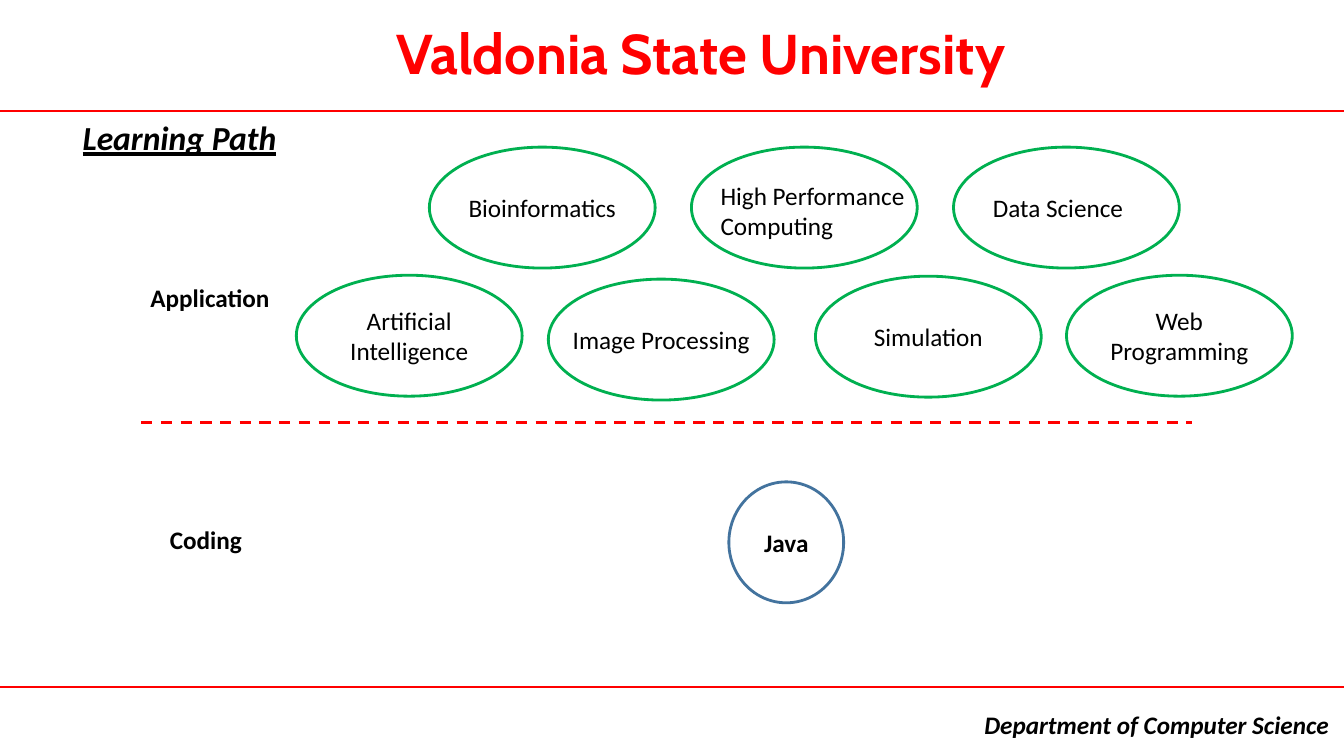
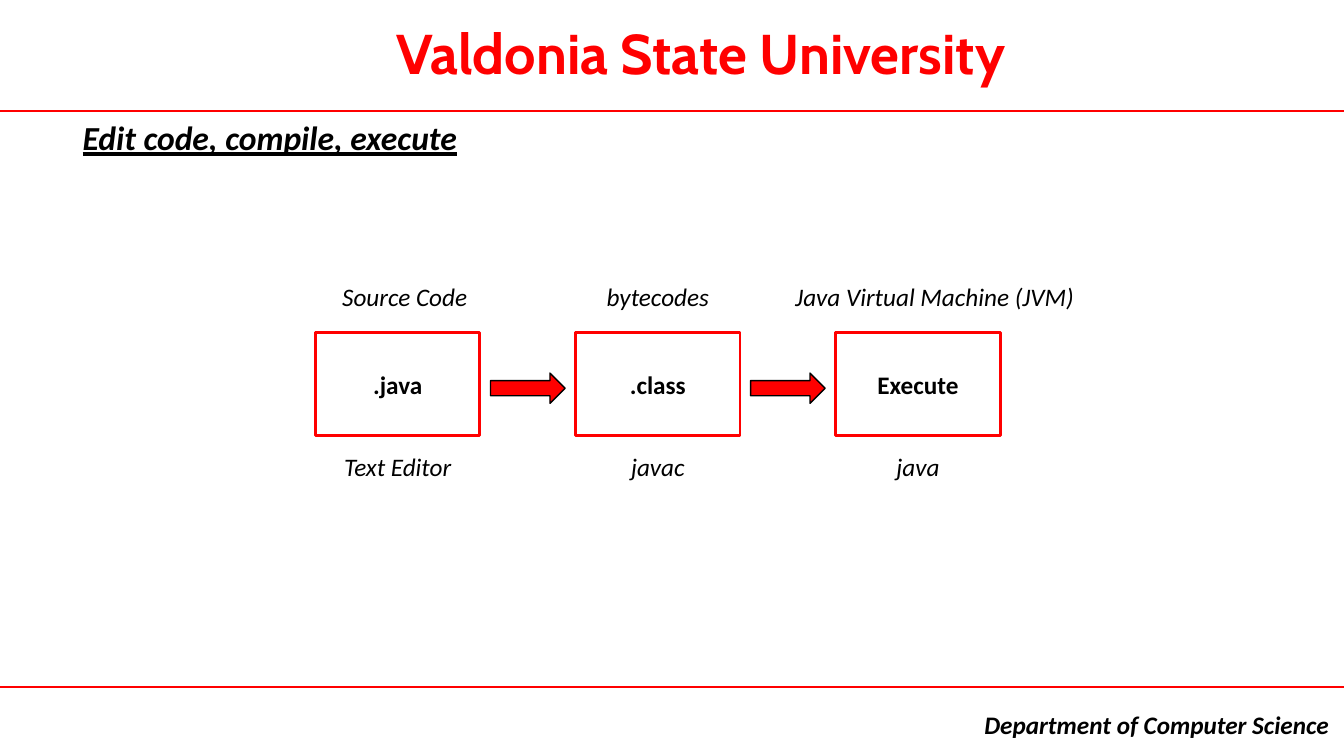
from collections import namedtuple

from lxml.etree import SubElement
from pptx import Presentation
from pptx.dml.color import RGBColor
from pptx.enum.dml import MSO_LINE
from pptx.enum.shapes import MSO_CONNECTOR, MSO_SHAPE
from pptx.enum.text import MSO_ANCHOR, MSO_AUTO_SIZE, PP_ALIGN
from pptx.oxml.ns import qn
from pptx.util import Pt

Box = namedtuple("Box", "left top width height")

COLOURS = {
    "red": "FF0000",
    "green": "00B050",
    "blue": "43739E",
    "black": "000000",
}
BODY_FONT = "Calibri"
BANNER_FONT = "Cabin"
PAGE_WIDTH, PAGE_HEIGHT = 960, 540
HEADER_RULE, FOOTER_RULE = 79.2, 491
CONTENT = Box(0, HEADER_RULE, PAGE_WIDTH, FOOTER_RULE - HEADER_RULE)


def colour(name):
    return RGBColor.from_string(COLOURS[name])


def lengths(box):
    return [Pt(round(value, 2)) for value in box]


def write(frame, text, size=18, bold=False, italic=False, underline=False,
          ink="black", font=BODY_FONT, align=PP_ALIGN.CENTER,
          anchor=MSO_ANCHOR.MIDDLE, wrap=True):
    frame.text = text
    frame.word_wrap = wrap
    frame.auto_size = MSO_AUTO_SIZE.NONE
    frame.vertical_anchor = anchor
    for para in frame.paragraphs:
        para.alignment = align
        for span in para.runs:
            span.font.name = font
            span.font.size = Pt(size)
            span.font.bold = bold
            span.font.italic = italic
            span.font.underline = underline
            span.font.color.rgb = colour(ink)


def add_text(page, box, text, **style):
    shape = page.shapes.add_textbox(*lengths(box))
    write(shape.text_frame, text, **style)


def add_label(page, centre_x, centre_y, text, **style):
    box = Box(centre_x - 110, centre_y - 15, 220, 30)
    add_text(page, box, text, **style)


def add_rule(page, left, right, y, weight, dash=None):
    rule = page.shapes.add_connector(
        MSO_CONNECTOR.STRAIGHT, Pt(left), Pt(y), Pt(right), Pt(y))
    rule.line.color.rgb = colour("red")
    rule.line.width = Pt(weight)
    if dash:
        rule.line.dash_style = dash
    SubElement(rule._element.spPr, qn("a:effectLst"))


def add_outline(page, kind, box, line, weight=2, fill=None):
    shape = page.shapes.add_shape(kind, *lengths(box))
    shape.shadow.inherit = False
    if fill:
        shape.fill.solid()
        shape.fill.fore_color.rgb = colour(fill)
    else:
        shape.fill.background()
    shape.line.color.rgb = colour(line)
    shape.line.width = Pt(weight)
    return shape


def add_framed_page(deck, title):
    page = deck.slides.add_slide(deck.slide_layouts[5])
    heading = page.shapes.title
    heading.left, heading.top, heading.width, heading.height = lengths(
        Box(51.8, 80, 500, 36))
    write(heading.text_frame, title, size=24, bold=True, italic=True,
          underline=True, align=PP_ALIGN.LEFT, anchor=MSO_ANCHOR.TOP)
    for y in (HEADER_RULE, FOOTER_RULE):
        add_rule(page, 0, PAGE_WIDTH, y, 1.5)
    add_text(page, Box(275.8, 10, 517, 55.4), "Valdonia State University",
             size=40, bold=True, ink="red", font=BANNER_FONT,
             align=PP_ALIGN.LEFT, anchor=MSO_ANCHOR.TOP)
    add_text(page, Box(696, 502.6, 264, 29), "Department of Computer Science",
             bold=True, italic=True, align=PP_ALIGN.LEFT)
    return page


def add_topic(page, left, top, text, wrap=True, right_margin=0):
    topic = add_outline(page, MSO_SHAPE.OVAL, Box(left, top, 161.3, 86.4),
                        "green")
    if text:
        frame = topic.text_frame
        frame.margin_left = frame.margin_top = frame.margin_bottom = 0
        frame.margin_right = Pt(right_margin)
        write(frame, text, wrap=wrap)


def add_applications(page, box):
    add_label(page, box.left + 150, box.top + 133, "Application", bold=True)
    upper_row = [("Bioinformatics", 0), ("", 0), ("Data Science", 12)]
    for index, (text, right_margin) in enumerate(upper_row):
        add_topic(page, box.left + 306.7 + index * 187.2, box.top + 25.9,
                  text, right_margin=right_margin)
    add_text(page, Box(box.left + 507.6, box.top + 45.4, 154, 51),
             "High Performance\nComputing", align=PP_ALIGN.LEFT)
    lower_row = [
        (211.7, 117.4, "Artificial Intelligence", True),
        (391.7, 120.2, "Image Processing", False),
        (582.5, 118.1, "Simulation", True),
        (761.8, 117.4, "Web Programming", True),
    ]
    for left, top, text, wrap in lower_row:
        add_topic(page, box.left + left, box.top + top, text, wrap)


def add_coding(page, box):
    add_label(page, box.left + 147, box.top + 84, "Coding", bold=True)
    circle = add_outline(page, MSO_SHAPE.OVAL,
                         Box(box.left + 520.6, box.top + 42.5, 82, 86.4),
                         "blue")
    write(circle.text_frame, "Java", bold=True)


def add_learning_path(deck):
    page = add_framed_page(deck, "Learning Path")
    divider = 301.7
    add_applications(page, CONTENT)
    add_rule(page, 100.8, 851.8, divider, 2, MSO_LINE.DASH)
    add_coding(page, Box(0, divider, PAGE_WIDTH, FOOTER_RULE - divider))


def add_pipeline(page, box):
    width, height, step = 117.4, 73.4, 185.8
    arrow_width, arrow_height = 53.3, 21.6
    stages = [
        (".java", "Source Code", 5, "Text Editor"),
        (".class", "bytecodes", 0, "javac"),
        ("Execute", "Java Virtual Machine (JVM)", 12, "java"),
    ]
    top = box.top + 158.4
    middle = top + height / 2
    for index, (name, product, shift, tool) in enumerate(stages):
        left = box.left + 225.4 + index * step
        centre = left + width / 2
        stage = add_outline(page, MSO_SHAPE.RECTANGLE,
                            Box(left, top, width, height), "red")
        write(stage.text_frame, name, bold=True)
        add_label(page, centre + shift, middle - 62.5, product, italic=True)
        add_label(page, centre, middle + 59, tool, italic=True)
        if index < len(stages) - 1:
            gap = (step - width - arrow_width) / 2
            add_outline(page, MSO_SHAPE.RIGHT_ARROW,
                        Box(left + width + gap, middle - arrow_height / 2 + 3,
                            arrow_width, arrow_height),
                        "black", weight=1, fill="red")


def add_build_steps(deck):
    page = add_framed_page(deck, "Edit code, compile, execute")
    add_pipeline(page, CONTENT)


def main():
    deck = Presentation()
    deck.slide_width, deck.slide_height = Pt(PAGE_WIDTH), Pt(PAGE_HEIGHT)
    add_learning_path(deck)
    add_build_steps(deck)
    deck.save("out.pptx")


if __name__ == "__main__":
    main()
